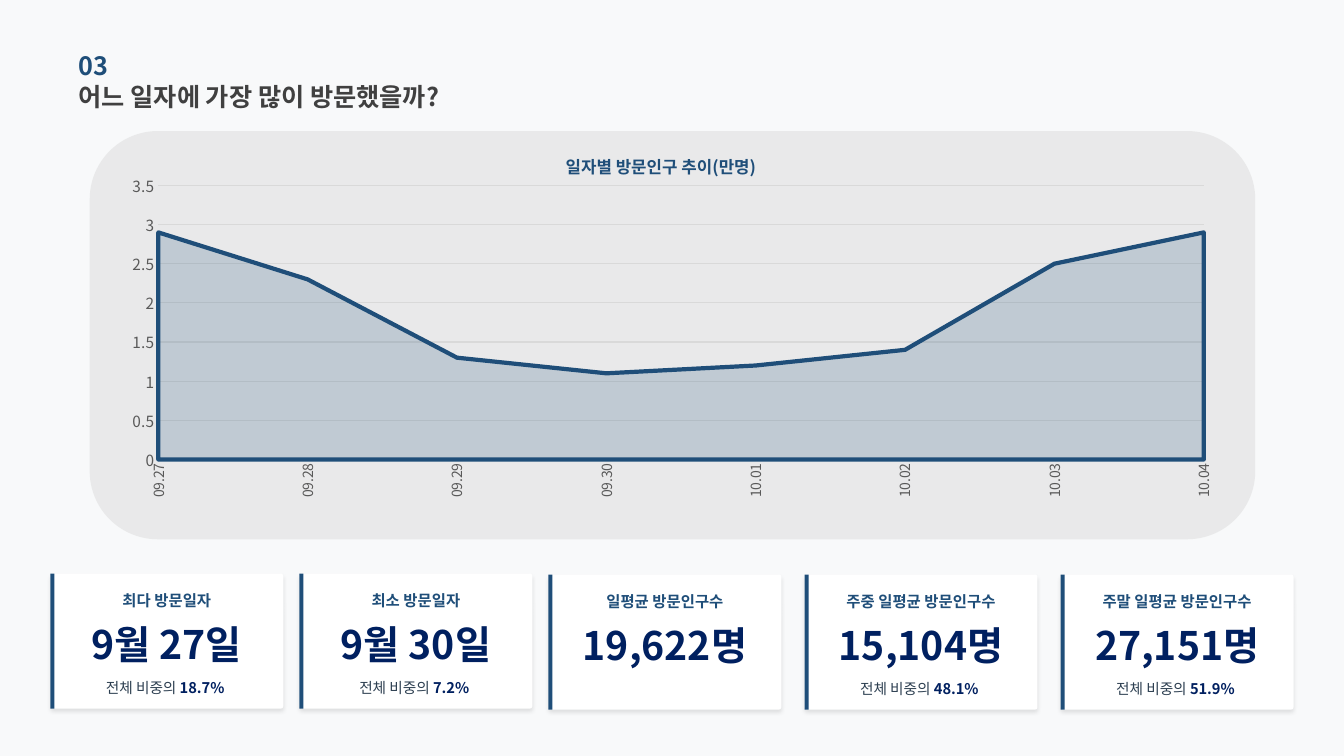
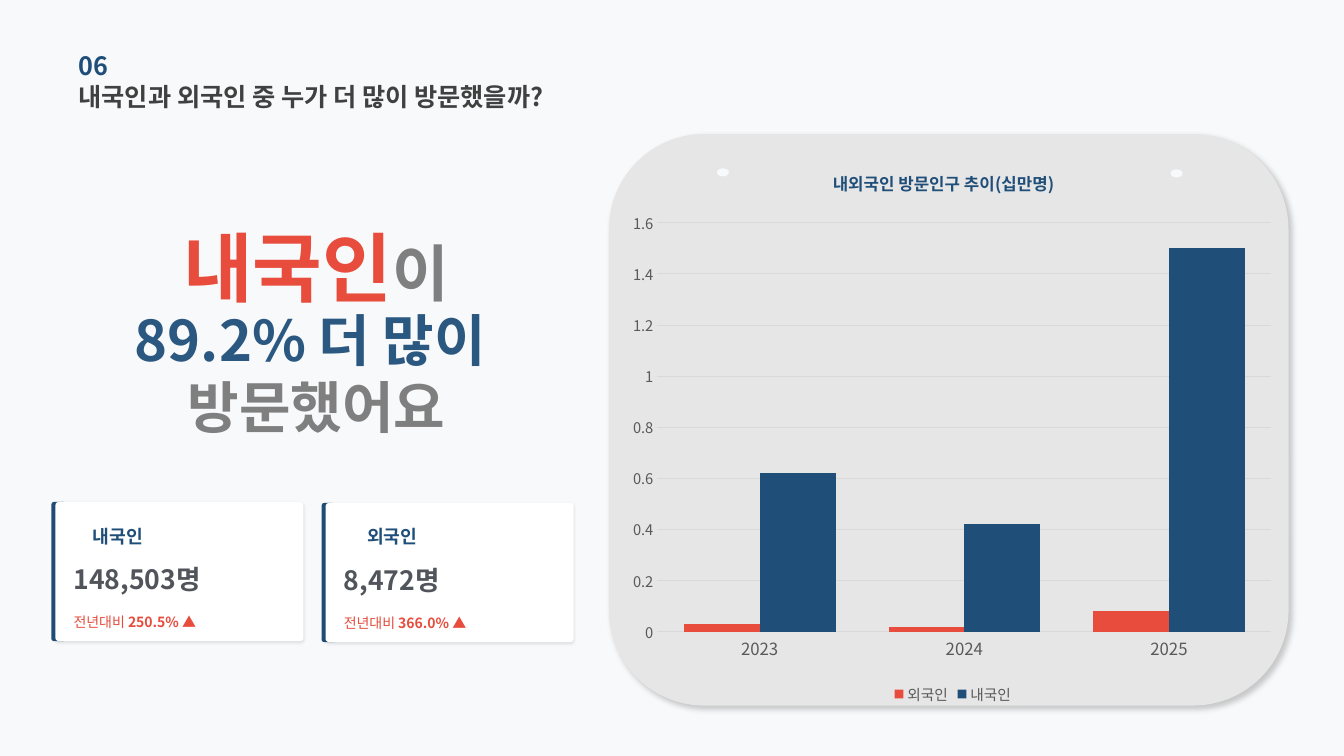
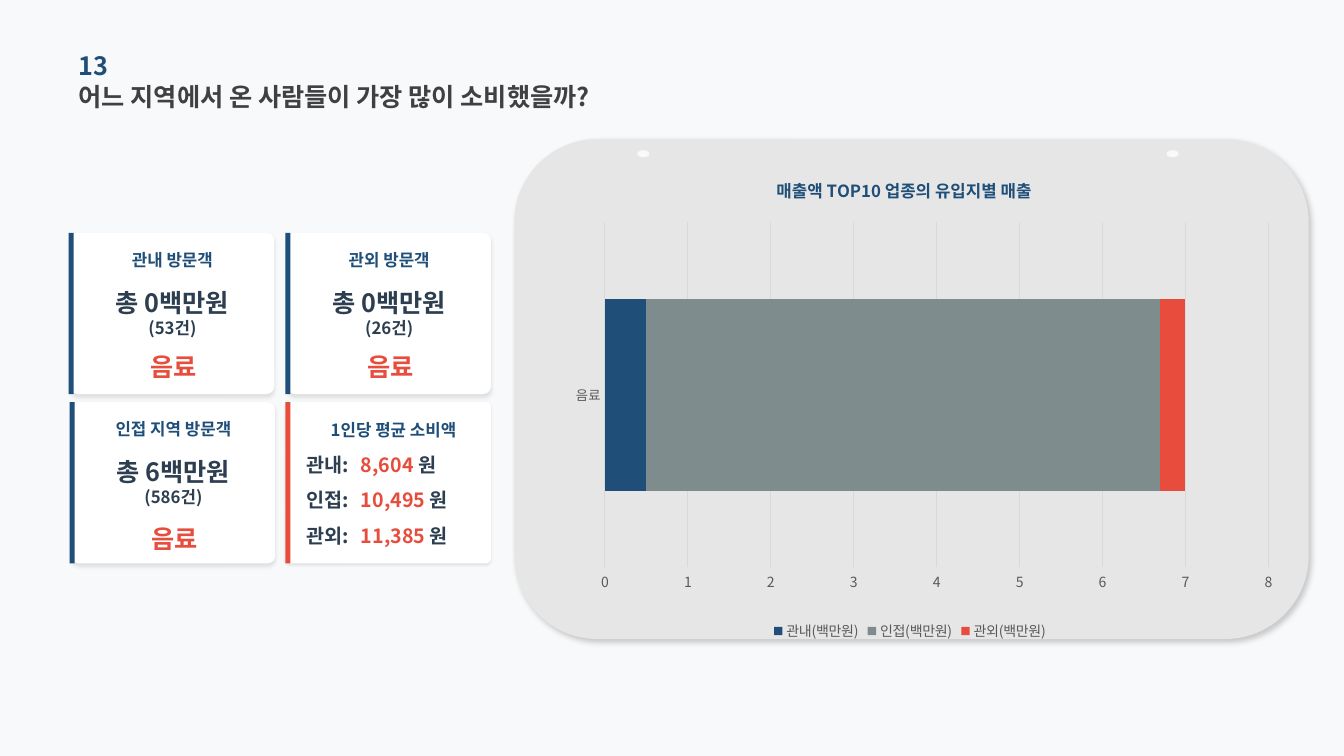
"""Build three slides on festival visitors and their spending."""
import dataclasses

import lxml.etree
import pptx
import pptx.chart.data
import pptx.dml.color
import pptx.enum.chart
import pptx.enum.shapes
import pptx.enum.text
import pptx.oxml.ns
import pptx.util

Inches = pptx.util.Inches
Pt = pptx.util.Pt
qn = pptx.oxml.ns.qn
SHAPE = pptx.enum.shapes.MSO_SHAPE
CHART = pptx.enum.chart.XL_CHART_TYPE
LEFT = pptx.enum.text.PP_ALIGN.LEFT
CENTER = pptx.enum.text.PP_ALIGN.CENTER


@dataclasses.dataclass(frozen=True)
class Theme:
    """Colours, type sizes and effects shared by the slides."""
    font: str = "Noto Sans CJK KR"
    back: str = "F8F9FA"
    white: str = "FFFFFF"
    blue: str = "1F4E79"
    soft_blue: str = "2B5880"
    navy: str = "002060"
    ink: str = "2C3E50"
    title: str = "404040"
    red: str = "E74C3C"
    teal: str = "7F8C8D"
    gray: str = "7F7F7F"
    figure: str = "51545A"
    axis: str = "595959"
    grid: str = "D9D9D9"
    panel: str = "E7E6E6"
    veil: str = "D0CECE"
    heading: float = 18
    label: float = 12
    card_shadow: tuple = (10, 3, 2, 90)
    thin_shadow: tuple = (10, 2, 1, 90)
    panel_shadow: tuple = (20, 4, 3, 45)


T = Theme()


def rgb(color):
    """Return a colour object for a hex string."""
    return pptx.dml.color.RGBColor.from_string(color)


def assign(obj, **values):
    """Set several attributes of an object."""
    for name, value in values.items():
        setattr(obj, name, value)


def add_xml(parent, tag, **attrs):
    """Append an element with the given attributes."""
    return lxml.etree.SubElement(
        parent, qn(tag), {key: str(value) for key, value in attrs.items()})


def paint(fill, color, alpha=None):
    """Apply a solid fill, translucent when alpha is given."""
    fill.solid()
    fill.fore_color.rgb = rgb(color)
    if alpha is not None:
        node = fill._xPr.find(qn("a:solidFill"))[0]
        add_xml(node, "a:alpha", val=alpha * 1000)


def style_font(font, size, color, bold=False):
    """Apply the theme typeface, unkerned, with a size, colour and weight."""
    assign(font, name=T.font, size=Pt(size), bold=bold)
    font.color.rgb = rgb(color)
    font._rPr.set("kern", "0")
    add_xml(font._rPr, "a:ea", typeface=T.font)


def add_text(s, box, paragraphs, align=LEFT):
    """Add a text box from paragraphs of (text, size, colour, bold) runs."""
    tf = s.shapes.add_textbox(*map(Inches, box)).text_frame
    assign(tf, word_wrap=True, margin_left=0, margin_right=0, margin_top=0,
           margin_bottom=0, vertical_anchor=pptx.enum.text.MSO_ANCHOR.MIDDLE)
    for index, runs in enumerate(paragraphs):
        p = tf.add_paragraph() if index else tf.paragraphs[0]
        p.alignment = align
        for text, *look in runs:
            r = p.add_run()
            r.text = text.rstrip("\n")
            style_font(r.font, *look)
            if text.endswith("\n"):
                p.add_line_break()


def add_block(s, kind, box, color, alpha=None, corner=None, shadow=None):
    """Add a borderless shape with an optional shadow."""
    sp = s.shapes.add_shape(kind, *map(Inches, box))
    paint(sp.fill, color, alpha)
    sp.line.fill.background()
    sp.shadow.inherit = False
    if corner is not None:
        sp.adjustments[0] = corner
    if shadow:
        opacity, blur, dist, angle = shadow
        effects = sp._element.spPr.find(qn("a:effectLst"))
        node = add_xml(effects, "a:outerShdw", blurRad=Pt(blur), dist=Pt(dist),
                       dir=angle * 60000, algn="t", rotWithShape=0)
        add_xml(add_xml(node, "a:srgbClr", val="000000"), "a:alpha", val=opacity * 1000)


def add_card(s, box, corner, shadow):
    """Add a white card."""
    add_block(s, SHAPE.ROUNDED_RECTANGLE, box, T.white, corner=corner, shadow=shadow)


def add_panel(s, box, pins):
    """Add a grey chart panel with two pin holes."""
    add_block(s, SHAPE.ROUNDED_RECTANGLE, box, T.panel, shadow=T.panel_shadow)
    for pin in pins:
        add_block(s, SHAPE.OVAL, pin, T.back)


def add_slide(prs, number, question):
    """Add a slide with its number and question."""
    s = prs.slides.add_slide(prs.slide_layouts[6])
    for top, text, color in ((0.75, question, T.title), (0.44, number, T.blue)):
        add_text(s, (0.78, top, 5.4, 0.41), [[(text, T.heading, color, True)]])
    return s


def place(part, index, box, left, top, *size):
    """Place a chart part by its position on the slide in inches."""
    for old in part.findall(qn("c:layout")):
        part.remove(old)
    layout = lxml.etree.Element(qn("c:layout"))
    manual = add_xml(layout, "c:manualLayout")
    if size:
        add_xml(manual, "c:layoutTarget", val="inner")
    for name in ("xMode", "yMode"):
        add_xml(manual, "c:" + name, val="edge")
    lengths = (left - box[0], top - box[1], *size)
    for name, length, whole in zip("xywh", lengths, box[2:] * 2):
        add_xml(manual, "c:" + name, val=length / whole)
    part.insert(index, layout)


def add_graph(s, kind, box, title, title_at, plot_at, cats, series, scale, sizes):
    """Add a chart with the theme's title, axes and gridlines."""
    data = pptx.chart.data.CategoryChartData()
    data.categories = cats
    for name, values, _ in series:
        data.add_series(name, values)
    chart = s.shapes.add_chart(kind, *map(Inches, box), data).chart
    style_font(chart.font, 10, "000000")
    chart.has_title = True
    r = chart.chart_title.text_frame.paragraphs[0].add_run()
    r.text = title
    style_font(r.font, T.label, T.blue, True)
    place(chart.chart_title._element, 1, box, *title_at)
    place(chart._chartSpace.chart.plotArea, 0, box, *plot_at)
    none = pptx.enum.chart.XL_TICK_MARK.NONE
    for axis, size in zip((chart.category_axis, chart.value_axis), sizes):
        assign(axis, major_tick_mark=none, minor_tick_mark=none)
        style_font(axis.tick_labels.font, size, T.axis)
    chart.category_axis.has_major_gridlines = False
    top, unit = scale
    assign(chart.value_axis, minimum_scale=0, maximum_scale=top, major_unit=unit,
           has_major_gridlines=True)
    assign(chart.value_axis.tick_labels, number_format="General",
           number_format_is_linked=False)
    chart.value_axis.format.line.fill.background()
    for line in (chart.category_axis.format.line,
                 chart.value_axis.major_gridlines.format.line):
        line.color.rgb = rgb(T.grid)
        line.width = Pt(0.75)
    plot = chart.plots[0]
    plot.vary_by_categories = False
    for item, (_, _, color) in zip(plot.series, series):
        paint(item.format.fill, color)
    chart.has_legend = False
    return chart


def add_legend(chart, size):
    """Add a legend below the plot."""
    chart.has_legend = True
    assign(chart.legend, include_in_layout=False,
           position=pptx.enum.chart.XL_LEGEND_POSITION.BOTTOM)
    style_font(chart.legend.font, size, T.axis)


def add_day_card(s, left, top, label, figure, share):
    """Add a card with a label, a large figure and a share."""
    width = 2.31
    add_card(s, (left, top, width, 1.34), 0.018, T.card_shadow)
    rows = [(0.15, 0.23, [(label, 11, T.blue, True)]),
            (0.51, 0.38, [(figure, 28, T.navy, True)])]
    if share:
        rows.append((1.02, 0.22, [("전체 비중의 ", 10.5, T.ink),
                                  (share + " ", 10.5, T.navy, True)]))
    for offset, height, runs in rows:
        add_text(s, (left, top + offset, width, height), [runs], CENTER)
    add_block(s, SHAPE.RECTANGLE, (left, top, 0.04, 1.34), T.blue)


def add_people_card(s, left, top, indent, label, figure, growth):
    """Add a card with a visitor count and its growth."""
    add_block(s, SHAPE.ROUNDED_RECTANGLE, (left - 0.04, top, 0.15, 1.38), T.blue)
    add_card(s, (left, top, 2.46, 1.38), 0.023, T.thin_shadow)
    add_text(s, (left + indent, 5.18, 0.65, 0.28), [[(label, 13, T.blue, True)]])
    add_text(s, (left + 0.18, top + 0.57, 2.2, 0.39), [[(figure, 19, T.figure, True)]])
    add_text(s, (left + 0.18, top + 0.96, 2.2, 0.45),
             [[("전년대비 ", 10, T.red), (growth + " ▲", 10, T.red, True)]])


def add_sales_card(s, left, top, label, total, count, item, offsets):
    """Add a card with total sales and the best-selling item."""
    width = 2.02
    add_card(s, (left, top, width, 1.6), 0.048, T.card_shadow)
    add_block(s, SHAPE.RECTANGLE, (left - 0.02, top, 0.05, 1.6), T.blue)
    total_at, item_at = offsets
    add_text(s, (left, top + 0.11, width, 0.31), [[(label, T.label, T.blue, True)]], CENTER)
    add_text(s, (left, top + total_at, width, 0.47),
             [[(total + "\n", 18, T.ink, True), (count, T.label, T.ink, True)]], CENTER)
    add_text(s, (left + 0.01, top + item_at, width, 0.47),
             [[(item, 18, T.red, True)]], CENTER)


def add_spend_card(s, left, top):
    """Add a card with the average spend per person by origin."""
    add_card(s, (left, top, 2.04, 1.6), 0.032, T.thin_shadow)
    add_block(s, SHAPE.RECTANGLE, (left, top, 0.05, 1.6), T.red)
    add_text(s, (left + 0.45, top + 0.15, 1.4, 0.25),
             [[("1인당 평균 소비액", T.label, T.blue, True)]])
    rows = (("관내:", "8,604 "), ("인접:", "10,495 "), ("관외:", "11,385 "))
    for index, (origin, amount) in enumerate(rows):
        y = top + 0.47 + 0.35 * index
        add_text(s, (left + 0.21, y, 0.59, 0.3), [[(origin, 14, T.ink, True)]])
        add_text(s, (left + 0.75, y, 1.25, 0.3),
                 [[(amount, 14, T.red, True), ("원", 14, T.ink, True)]])


def build_days(prs):
    """Build the slide on visitors by day."""
    s = add_slide(prs, "03", "어느 일자에 가장 많이 방문했을까?")
    add_block(s, SHAPE.ROUNDED_RECTANGLE, (0.89, 1.3, 11.56, 4.05), T.veil, alpha=36)
    for card in ((0.5, 5.69, "최다 방문일자", "9월 27일", "18.7%"),
                 (2.97, 5.69, "최소 방문일자", "9월 30일", "7.2%"),
                 (5.44, 5.7, "일평균 방문인구수", "19,622명", None),
                 (7.98, 5.7, "주중 일평균 방문인구수", "15,104명", "48.1%"),
                 (10.52, 5.7, "주말 일평균 방문인구수", "27,151명", "51.9%")):
        add_day_card(s, *card)
    cats = ("09.27", "09.28", "09.29", "09.30", "10.01", "10.02", "10.03", "10.04")
    values = (2.9, 2.3, 1.3, 1.1, 1.2, 1.4, 2.5, 2.9)
    chart = add_graph(s, CHART.AREA, (1.08, 1.33, 11.13, 4.08),
                      "일자별 방문인구 추이(만명)", (5.58, 1.47),
                      (1.57, 1.84, 10.37, 2.72), cats,
                      [("Series 1", values, T.blue)], (3.5, 0.5), (10, 11))
    area = chart.plots[0].series[0].format
    paint(area.fill, T.blue, 20)
    area.line.color.rgb = rgb(T.blue)
    area.line.width = Pt(3)
    body = chart.category_axis._element.find(qn("c:txPr")).find(qn("a:bodyPr"))
    body.set("rot", "-5400000")
    body.set("vert", "horz")
    for node in chart.value_axis._element.iter(qn("c:crossBetween")):
        node.set("val", "midCat")


def build_people(prs):
    """Build the slide on domestic and foreign visitors."""
    s = add_slide(prs, "06", "내국인과 외국인 중 누가 더 많이 방문했을까?")
    add_panel(s, (6.04, 1.33, 6.74, 5.67),
              ((7.11, 1.67, 0.12, 0.08), (11.61, 1.68, 0.12, 0.08)))
    add_text(s, (0.99, 2.4, 4.29, 0.48),
             [[("내국인", 54, T.red, True), ("이", 44, T.gray, True)]], CENTER)
    add_text(s, (0.38, 3.28, 5.52, 0.84),
             [[("89.2% 더 많이 ", 40, T.soft_blue, True)],
              [("방문했어요", 40, T.gray, True)]], CENTER)
    add_people_card(s, 0.55, 4.98, 0.37, "내국인", "148,503명", "250.5%")
    add_people_card(s, 3.23, 4.99, 0.41, "외국인", "8,472명", "366.0%")
    chart = add_graph(s, CHART.COLUMN_CLUSTERED, (6.15, 1.48, 6.6, 5.55),
                      "내외국인 방문인구 추이(십만명)", (8.23, 1.64),
                      (6.52, 2.21, 6.09, 4.06), ("2023", "2024", "2025"),
                      [("외국인", (0.03, 0.02, 0.08), T.red),
                       ("내국인", (0.62, 0.42, 1.5), T.blue)],
                      (1.6, 0.2), (12, 10.5))
    assign(chart.plots[0], gap_width=70, overlap=0)
    add_legend(chart, 10.5)


def build_spending(prs):
    """Build the slide on spending by visitor origin."""
    s = add_slide(prs, "13", "어느 지역에서 온 사람들이 가장 많이 소비했을까?")
    add_panel(s, (5.1, 1.38, 7.88, 4.96),
              ((6.32, 1.49, 0.12, 0.07), (11.57, 1.49, 0.12, 0.07)))
    upper, lower = (0.56, 1.09), (0.55, 1.12)
    for card in ((0.7, 2.31, "관내 방문객", "총 0백만원", "(53건)", "음료", upper),
                 (2.85, 2.31, "관외 방문객", "총 0백만원", "(26건)", "음료", upper),
                 (0.71, 3.99, "인접 지역 방문객", "총 6백만원", "(586건)", "음료", lower)):
        add_sales_card(s, *card)
    add_spend_card(s, 2.83, 3.99)
    chart = add_graph(s, CHART.BAR_STACKED, (5.22, 1.56, 7.61, 4.84),
                      "매출액 TOP10 업종의 유입지별 매출", (7.67, 1.71),
                      (6, 2.2, 6.58, 3.43), ("음료",),
                      [("관내(백만원)", (0.5,), T.blue),
                       ("인접(백만원)", (6.2,), T.teal),
                       ("관외(백만원)", (0.3,), T.red)], (8, 1), (9.5, 10))
    assign(chart.plots[0], gap_width=80, overlap=100)
    add_legend(chart, 10)


def main():
    """Build and save the presentation."""
    prs = pptx.Presentation()
    assign(prs, slide_width=Inches(13.33), slide_height=Inches(7.5))
    paint(prs.slide_master.background.fill, T.back)
    for build in (build_days, build_people, build_spending):
        build(prs)
    prs.save("out.pptx")


if __name__ == "__main__":
    main()
